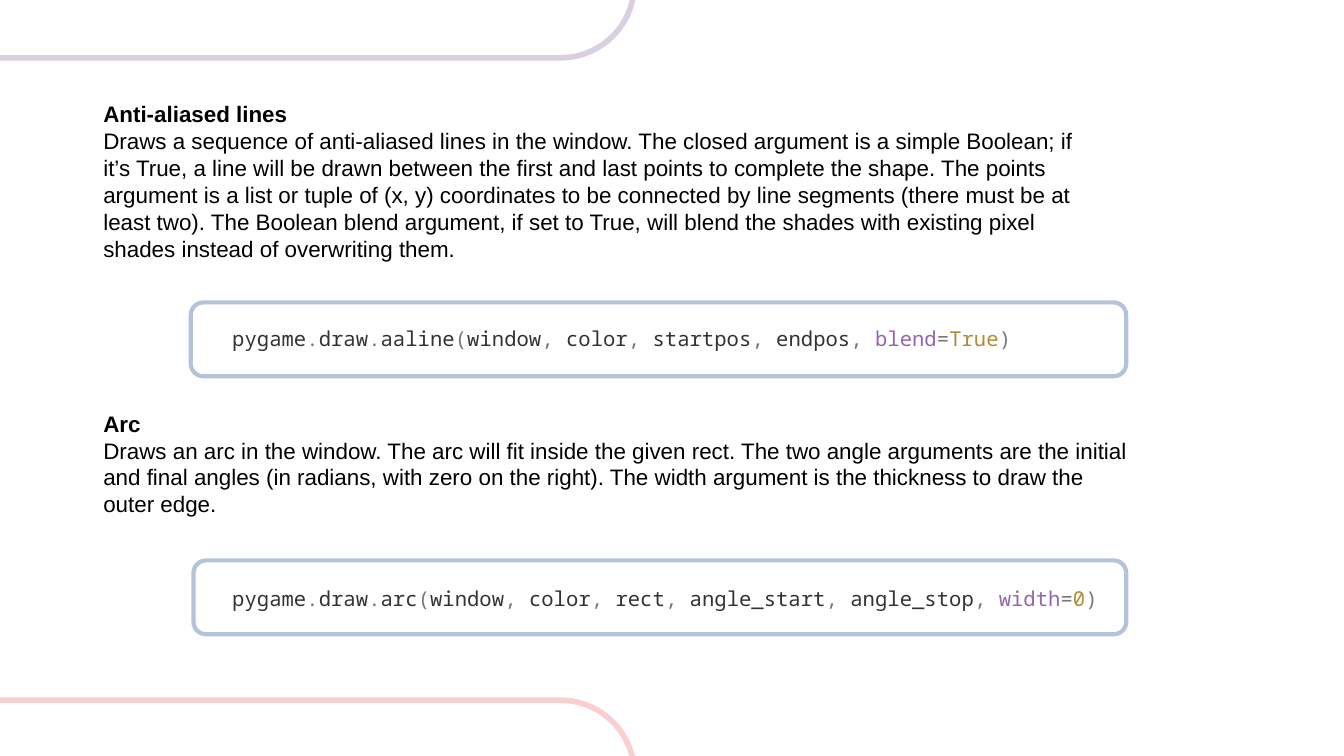
from pptx import Presentation
from pptx.dml.color import RGBColor
from pptx.enum.shapes import MSO_SHAPE as Shape
from pptx.enum.text import MSO_AUTO_SIZE as Fit
from pptx.util import Inches, Pt

deck = Presentation()
deck.slide_width = Inches(10)
deck.slide_height = Inches(5.625)
col = deck.slide_width / 100
row = deck.slide_height / 100
slide = deck.slides.add_slide(deck.slide_layouts[6])


def grid(x, y, w, h):
    return [int(n) for n in (x * col, y * row, w * col, h * row)]


def style(font, face, size, tint, bold=False):
    font.name = face
    font.size = Pt(size)
    font.bold = bold
    font.color.rgb = RGBColor.from_string(tint)


frames = [
    (-14.3, -11.91, 61.5, 19.56, 0.5, "D9CFDE", 3),
    (-14.3, 92.62, 61.5, 19.56, 0.5, "F9CFD0", 3),
    (14.2, 40, 69.6, 9.78, 0.17, "B4C2DA", 2.25),
    (14.4, 74.13, 69.4, 9.78, 0.17, "B4C2DA", 2.25),
]
for x, y, w, h, curve, tint, width in frames:
    frame = slide.shapes.add_shape(Shape.ROUNDED_RECTANGLE, *grid(x, y, w, h))
    frame.adjustments[0] = curve
    frame.shadow.inherit = False
    frame.fill.background()
    frame.line.color.rgb = RGBColor.from_string(tint)
    frame.line.width = Pt(width)

topics = [
    (12.44, 75.1, 23.29, "Anti-aliased lines",
     "Draws a sequence of anti-aliased lines in the window. The closed argument "
     "is a simple Boolean; if it’s True, a line will be drawn between the first "
     "and last points to complete the shape. The points argument is a list or "
     "tuple of (x, y) coordinates to be connected by line segments (there must "
     "be at least two). The Boolean blend argument, if set to True, will blend "
     "the shades with existing pixel shades instead of overwriting them."),
    (53.33, 78.5, 16.18, "Arc",
     "Draws an arc in the window. The arc will fit inside the given rect. The "
     "two angle arguments are the initial and final angles (in radians, with "
     "zero on the right). The width argument is the thickness to draw the outer "
     "edge."),
]
for y, w, h, title, body in topics:
    text = slide.shapes.add_textbox(*grid(6.7, y, w, h)).text_frame
    text.word_wrap = True
    text.auto_size = Fit.SHAPE_TO_FIT_TEXT
    text.text = title + "\n" + body
    for part, bold in zip(text.paragraphs, (True, False)):
        style(part.runs[0].font, "Arial", 12, "000000", bold)

calls = [
    (42.31, 64.4, "pygame|.|draw|.|aaline|(|window|, |color|, |startpos|, |endpos|, |blend|=|True|)"),
    (76.62, 69.4, "pygame|.|draw|.|arc|(|window|, |color|, |rect|, |angle_start|, |angle_stop|, |width|=|0|)"),
]
tints = {"blend": "9466AA", "width": "9466AA", "True": "B08B35", "0": "B08B35"}
tints.update(dict.fromkeys([".", "(", ", ", "=", ")"], "777777"))
for y, w, code in calls:
    text = slide.shapes.add_textbox(*grid(16.3, y, w, 5.16)).text_frame
    text.word_wrap = True
    text.auto_size = Fit.SHAPE_TO_FIT_TEXT
    for word in code.split("|"):
        run = text.paragraphs[0].add_run()
        run.text = word
        style(run.font, "Noto Sans Mono", 11, tints.get(word, "333333"))

deck.save("out.pptx")
